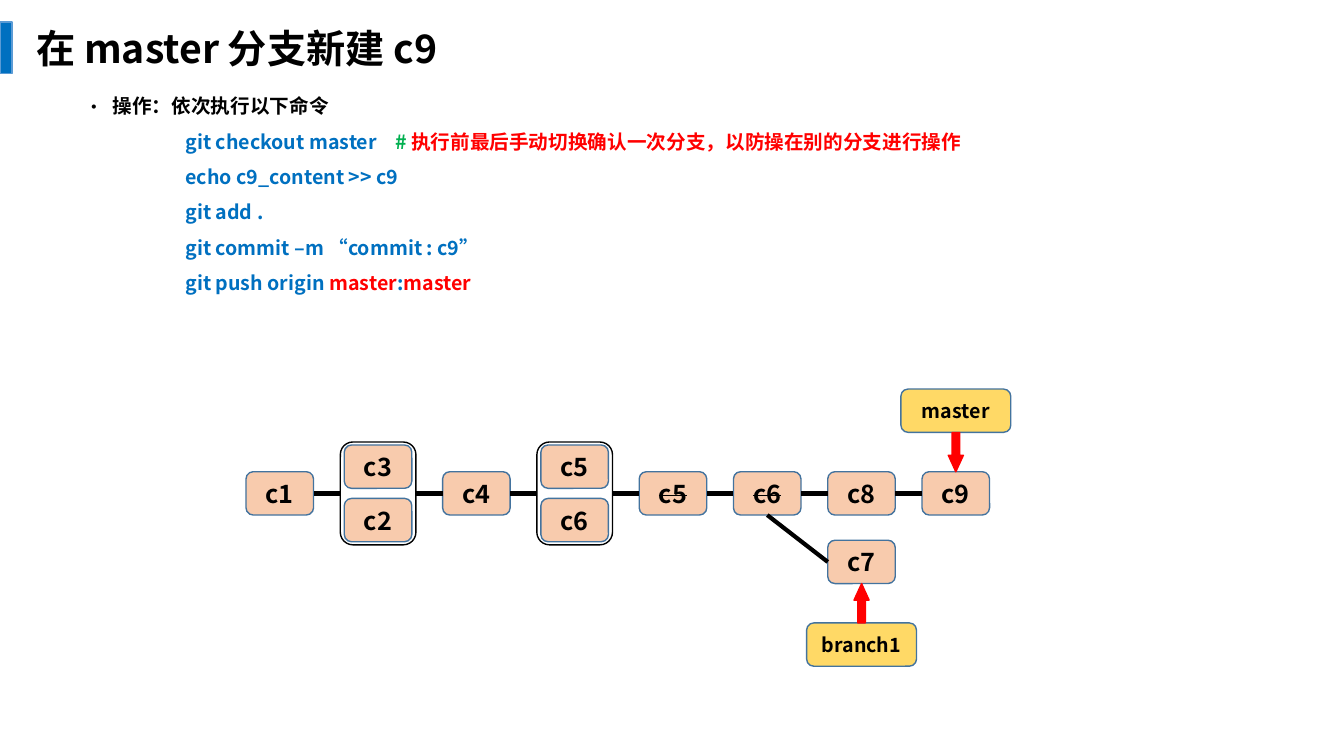
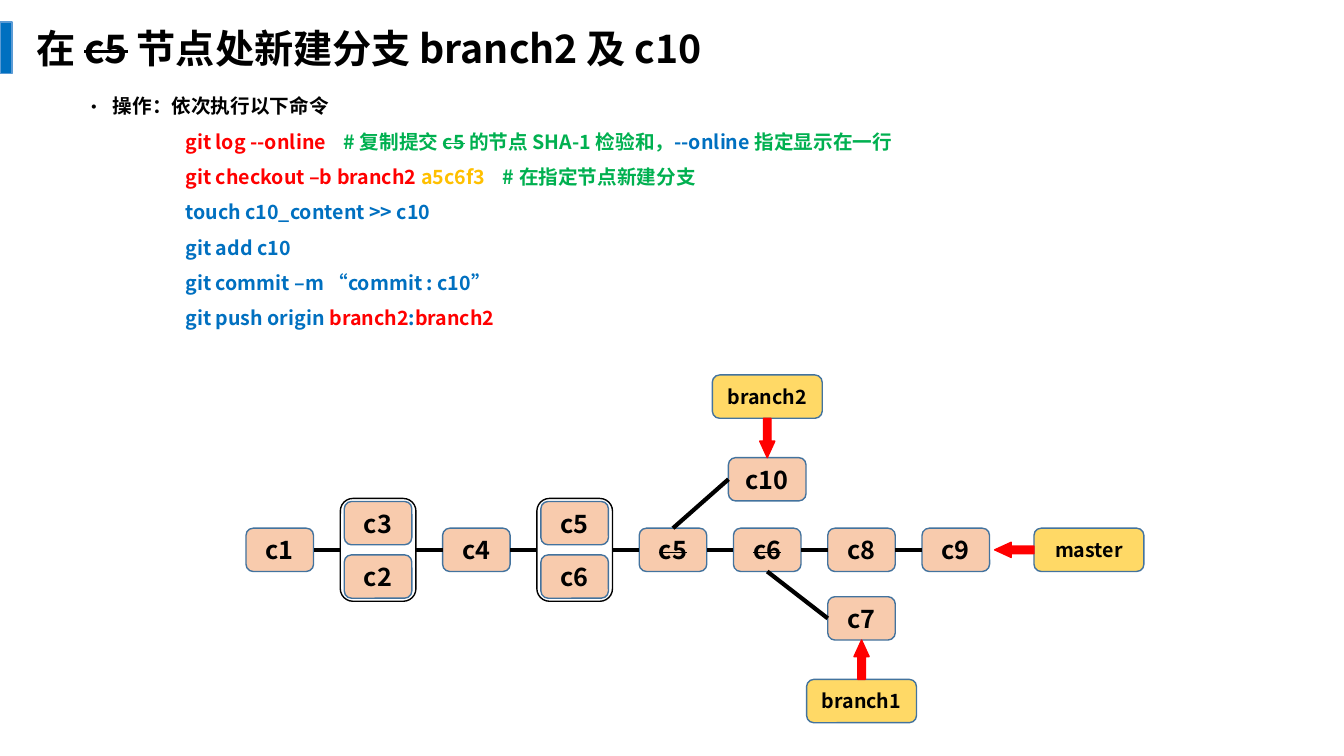
import dataclasses

import lxml.etree
import pptx
import pptx.dml.color
import pptx.enum.shapes
import pptx.enum.text
import pptx.oxml.ns
import pptx.util

Inches = pptx.util.Inches
TOP, LEFT, BOTTOM, RIGHT = range(4)


@dataclasses.dataclass(frozen=True)
class Theme:
    font: str = "Noto Sans CJK SC"
    black: str = "000000"
    blue: str = "0070C0"
    bar_line: str = "5B9BD5"
    red: str = "FF0000"
    green: str = "00B050"
    amber: str = "FFC000"
    commit: str = "F8CBAD"
    label: str = "FFD966"
    outline: str = "43739E"
    title_size: int = 28
    commit_size: int = 18
    body_size: int = 14


@dataclasses.dataclass(frozen=True)
class Grid:
    left: float = 2.44
    node_w: float = 0.67
    wide_node_w: float = 0.77
    node_h: float = 0.43
    pair_w: float = 0.75
    pair_h: float = 1.02
    pair_inset: float = 0.03
    stride: float = 1.95
    label_w: float = 1.09
    arrow_w: float = 0.15
    arrow_h: float = 0.39

    @property
    def gap(self):
        return (self.stride - self.node_w - self.pair_w) / 2


T = Theme()
G = Grid()


def apply(obj, values):
    for name, value in values.items():
        setattr(obj, name, value)


def rgb(value):
    return pptx.dml.color.RGBColor.from_string(value)


def add_xml(parent, tag, **attributes):
    return lxml.etree.SubElement(parent, pptx.oxml.ns.qn(tag), attributes)


def add_run(p, text, size, color=T.black, strike=False):
    r = p.add_run()
    r.text = text
    apply(r.font, {"name": T.font, "size": pptx.util.Pt(size), "bold": True})
    r.font.color.rgb = rgb(color)
    props = r._r.get_or_add_rPr()
    add_xml(props, "a:ea", typeface=T.font)
    if strike:
        props.set("strike", "sngStrike")


def add_box(shapes, kind, x, y, w, h, fill=None, line=T.outline):
    sp = shapes.add_shape(kind, x, y, w, h)
    sp.shadow.inherit = False
    if fill:
        sp.fill.solid()
        sp.fill.fore_color.rgb = rgb(fill)
    else:
        sp.fill.background()
    sp.line.color.rgb = rgb(line)
    sp.line.width = pptx.util.Pt(1)
    return sp


def add_rounded(shapes, text, x, y, w, fill, size, strike=False):
    kind = pptx.enum.shapes.MSO_SHAPE.ROUNDED_RECTANGLE
    sp = add_box(shapes, kind, x, y, w, Inches(G.node_h), fill)
    tf = sp.text_frame
    tf.vertical_anchor = pptx.enum.text.MSO_ANCHOR.MIDDLE
    p = tf.paragraphs[0]
    p.alignment = pptx.enum.text.PP_ALIGN.CENTER
    add_run(p, text, size, strike=strike)
    return sp


def add_commit(shapes, text, x, y, w=G.node_w, strike=False):
    return add_rounded(shapes, text, Inches(x), Inches(y), Inches(w),
                       T.commit, T.commit_size, strike)


def add_pair(s, names, x, y):
    group = s.shapes.add_group_shape()
    inset_x = (G.pair_w - G.node_w) / 2
    rows = (G.pair_inset, G.pair_h - G.pair_inset - G.node_h)
    for name, row in zip(names, rows):
        add_commit(group.shapes, name, x + inset_x, y + row)
    return add_box(group.shapes, pptx.enum.shapes.MSO_SHAPE.ROUNDED_RECTANGLE,
                   Inches(x), Inches(y), Inches(G.pair_w), Inches(G.pair_h),
                   line=T.black)


def connect(s, start, start_site, end, end_site):
    cn = s.shapes.add_connector(pptx.enum.shapes.MSO_CONNECTOR.STRAIGHT, 0, 0, 0, 0)
    cn.begin_connect(start, start_site)
    cn.end_connect(end, end_site)
    cn.line.color.rgb = rgb(T.black)
    cn.line.width = pptx.util.Pt(3)
    add_xml(cn._element.spPr, "a:effectLst")


def add_pointer(s, name, node, side):
    w, h = Inches(G.label_w), Inches(G.node_h)
    arrow_w, arrow_h = Inches(G.arrow_w), Inches(G.arrow_h)
    mid_x = node.left + node.width // 2
    mid_y = node.top + node.height // 2
    right = node.left + node.width + Inches(0.05)
    bottom = node.top + node.height
    arrow_x, arrow_y, label_x, label_y, turn = {
        TOP: (mid_x, node.top - arrow_h // 2,
              mid_x - w // 2, node.top - arrow_h - h, 0),
        BOTTOM: (mid_x, bottom + arrow_h // 2,
                 mid_x - w // 2, bottom + arrow_h, 180),
        RIGHT: (right + arrow_h // 2, mid_y, right + arrow_h, node.top, 90),
    }[side]
    add_rounded(s.shapes, name, label_x, label_y, w, T.label, T.body_size)
    arrow = add_box(s.shapes, pptx.enum.shapes.MSO_SHAPE.DOWN_ARROW,
                    arrow_x - arrow_w // 2, arrow_y - arrow_h // 2,
                    arrow_w, arrow_h, T.red, T.red)
    arrow.adjustments[1] = 1.09
    arrow.rotation = turn


def add_history(s, y):
    nodes = {}
    x, previous = G.left, None
    chain = ("c1", ("c3", "c2"), "c4", ("c5", "c6"), "c5", "c6", "c8", "c9")
    for item in chain:
        if isinstance(item, tuple):
            node = add_pair(s, item, x, y + (G.node_h - G.pair_h) / 2)
            x += G.pair_w + G.gap
        else:
            node = add_commit(s.shapes, item, x, y, strike=item in ("c5", "c6"))
            nodes[item] = node
            x += G.node_w + G.gap
        if previous is not None:
            connect(s, node, LEFT, previous, RIGHT)
        previous = node
    nodes["c7"] = add_commit(s.shapes, "c7", nodes["c8"].left.inches, y + 0.68)
    connect(s, nodes["c7"], LEFT, nodes["c6"], BOTTOM)
    add_pointer(s, "branch1", nodes["c7"], BOTTOM)
    return nodes


def add_text(s, x, y, w, h):
    tf = s.shapes.add_textbox(Inches(x), Inches(y), Inches(w), Inches(h)).text_frame
    apply(tf, {"word_wrap": True,
               "auto_size": pptx.enum.text.MSO_AUTO_SIZE.SHAPE_TO_FIT_TEXT})
    return tf


def add_commands(s, w, h, commands):
    tf = add_text(s, 0.74, 0.77, w, h)
    p = tf.paragraphs[0]
    props = p._p.get_or_add_pPr()
    indent = Inches(0.28)
    props.set("marL", str(indent))
    props.set("indent", str(-indent))
    add_xml(props, "a:buFont", typeface=T.font)
    add_xml(props, "a:buChar", char="·")
    p.line_spacing = 1.5
    add_run(p, "操作：依次执行以下命令", T.body_size)
    for note_stop, runs in commands:
        p = tf.add_paragraph()
        tabs = add_xml(p._p.get_or_add_pPr(), "a:tabLst")
        for stop in filter(None, (1, note_stop)):
            add_xml(tabs, "a:tab", pos=str(Inches(stop)), algn="l")
        p.line_spacing = 1.5
        add_run(p, "\t", T.body_size, T.blue)
        for text, *style in runs:
            add_run(p, text, T.body_size, *style)


def plain(text):
    return None, [(text, T.blue)]


def push(branch):
    return None, [("git push origin ", T.blue), (branch, T.red),
                  (":", T.blue), (branch, T.red)]


def add_slide(prs, title):
    s = prs.slides.add_slide(prs.slide_layouts[6])
    add_box(s.shapes, pptx.enum.shapes.MSO_SHAPE.RECTANGLE,
            0, Inches(0.22), Inches(0.12), Inches(0.51), T.blue, T.bar_line)
    p = add_text(s, 0.26, 0.19, 9.25, 0.57).paragraphs[0]
    for text, *style in title:
        add_run(p, text, T.title_size, *style)
    return s


def build_master_commit(prs):
    s = add_slide(prs, [("在 master 分支新建 c9",)])
    add_commands(s, 11.6, 2.18, [
        (3.08, [("git checkout master\t", T.blue), ("# ", T.green),
                ("执行前最后手动切换确认一次分支，以防操在别的分支进行操作", T.red)]),
        plain("echo c9_content >> c9"),
        plain("git add ."),
        plain("git commit –m “commit : c9”"),
        push("master"),
    ])
    nodes = add_history(s, 4.68)
    add_pointer(s, "master", nodes["c9"], TOP)


def build_new_branch(prs):
    s = add_slide(prs, [("在 ",), ("c5", T.black, True),
                        (" 节点处新建分支 branch2 及 c10",)])
    add_commands(s, 10.95, 2.53, [
        (2.57, [("git log --online\t", T.red), ("# 复制提交 ", T.green),
                ("c5", T.green, True), (" 的节点 SHA-1 检验和，", T.green),
                ("--online ", T.blue), ("指定显示在一行", T.green)]),
        (4.15, [("git checkout –b branch2 ", T.red), ("a5c6f3\t", T.amber),
                ("# 在指定节点新建分支", T.green)]),
        plain("touch c10_content >> c10"),
        plain("git add c10"),
        plain("git commit –m “commit : c10”"),
        push("branch2"),
    ])
    y = 5.24
    nodes = add_history(s, y)
    add_pointer(s, "master", nodes["c9"], RIGHT)
    x = nodes["c6"].left.inches + (G.node_w - G.wide_node_w) / 2
    c10 = add_commit(s.shapes, "c10", x, y - 0.7, G.wide_node_w)
    connect(s, c10, LEFT, nodes["c5"], TOP)
    add_pointer(s, "branch2", c10, TOP)


def main():
    prs = pptx.Presentation()
    apply(prs, {"slide_width": Inches(13.33), "slide_height": Inches(7.5)})
    build_master_commit(prs)
    build_new_branch(prs)
    prs.save("out.pptx")


if __name__ == "__main__":
    main()
